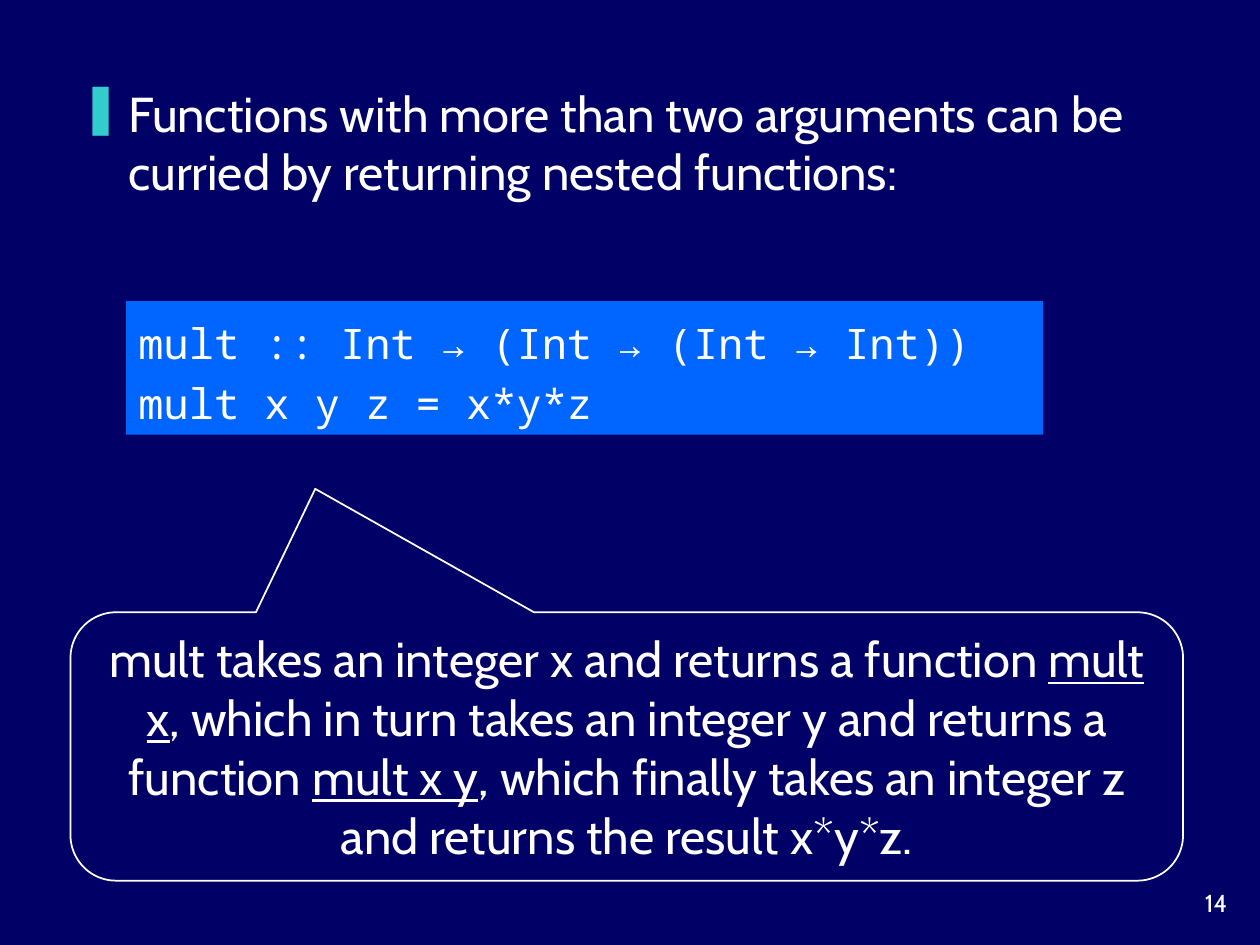
from lxml import etree
from pptx import Presentation
from pptx.dml.color import RGBColor
from pptx.enum.shapes import MSO_SHAPE
from pptx.enum.text import MSO_ANCHOR, MSO_AUTO_SIZE, PP_ALIGN
from pptx.oxml.ns import qn
from pptx.util import Pt

PX = 9144
NAVY = RGBColor(0x00, 0x00, 0x66)
BLUE = RGBColor(0x00, 0x66, 0xFF)
TEAL = RGBColor(0x33, 0xCC, 0xCC)
WHITE = RGBColor(0xFF, 0xFF, 0xFF)
RECTANGLE = MSO_SHAPE.RECTANGLE
CALLOUT = MSO_SHAPE.ROUNDED_RECTANGULAR_CALLOUT
LEFT, CENTER, RIGHT = PP_ALIGN.LEFT, PP_ALIGN.CENTER, PP_ALIGN.RIGHT
MIDDLE = MSO_ANCHOR.MIDDLE
GROW = MSO_AUTO_SIZE.SHAPE_TO_FIT_TEXT


def place(*lengths):
    return [length * PX for length in lengths]


def write(para, spans, size, font="Cabin", align=LEFT):
    para.alignment = align
    for text, underline in spans:
        span = para.add_run()
        span.text = text
        span.font.color.rgb = WHITE
        style = {"name": font, "size": Pt(size), "underline": underline}
        for key, value in style.items():
            setattr(span.font, key, value)


deck = Presentation()
deck.slide_width, deck.slide_height = place(1000, 750)
page = deck.slides.add_slide(deck.slide_layouts[6])
page.background.fill.solid()
page.background.fill.fore_color.rgb = NAVY

number = page.shapes.add_textbox(*place(917, 700, 67, 33))
number.text_frame.word_wrap = True
write(number.text_frame.paragraphs[0], [("14", None)], 14, align=RIGHT)

statement = page.shapes.add_textbox(*place(54, 61, 901, 110))
statement.text_frame.word_wrap = True
para = statement.text_frame.paragraphs[0]
write(para, [("Functions with more than two arguments can be curried by returning nested functions:", None)], 28)
properties = para._p.get_or_add_pPr()
properties.set("marL", str(38 * PX))
properties.set("indent", str(-38 * PX))
space = etree.SubElement(properties, qn("a:spcBef"))
etree.SubElement(space, qn("a:spcPct"), val="20000")
bullet_color = etree.SubElement(properties, qn("a:buClr"))
etree.SubElement(bullet_color, qn("a:srgbClr"), val=str(TEAL))
etree.SubElement(properties, qn("a:buChar"), char="❚")

code = page.shapes.add_shape(RECTANGLE, *place(100, 239, 728, 106))
code.fill.solid()
code.fill.fore_color.rgb = BLUE
code.line.fill.background()

callout = page.shapes.add_shape(CALLOUT, *place(56, 486, 883, 213))
callout.fill.background()
callout.line.color.rgb = WHITE
callout.line.width = Pt(1)
for index, value in enumerate((-0.28, -0.96, 0.17)):
    callout.adjustments[index] = value

for box in (code, callout):
    box.shadow.inherit = False
    layout = {"word_wrap": True, "vertical_anchor": MIDDLE, "auto_size": GROW}
    for key, value in layout.items():
        setattr(box.text_frame, key, value)

first_line = code.text_frame.paragraphs[0]
second_line = code.text_frame.add_paragraph()
code_lines = [
    (first_line, "mult :: Int → (Int → (Int → Int))"),
    (second_line, "mult x y z = x*y*z"),
]
for para, text in code_lines:
    write(para, [(text, None)], 24, "Noto Sans Mono")
    para.line_spacing = 1.2

explanation = [
    ("mult takes an integer x and returns a function ", None),
    ("mult x", True),
    (", which in turn takes an integer y and returns a function ", None),
    ("mult x y", True),
    (", which finally takes an integer z and returns the result x*y*z.", None),
]
write(callout.text_frame.paragraphs[0], explanation, 28, align=CENTER)

deck.save("out.pptx")
